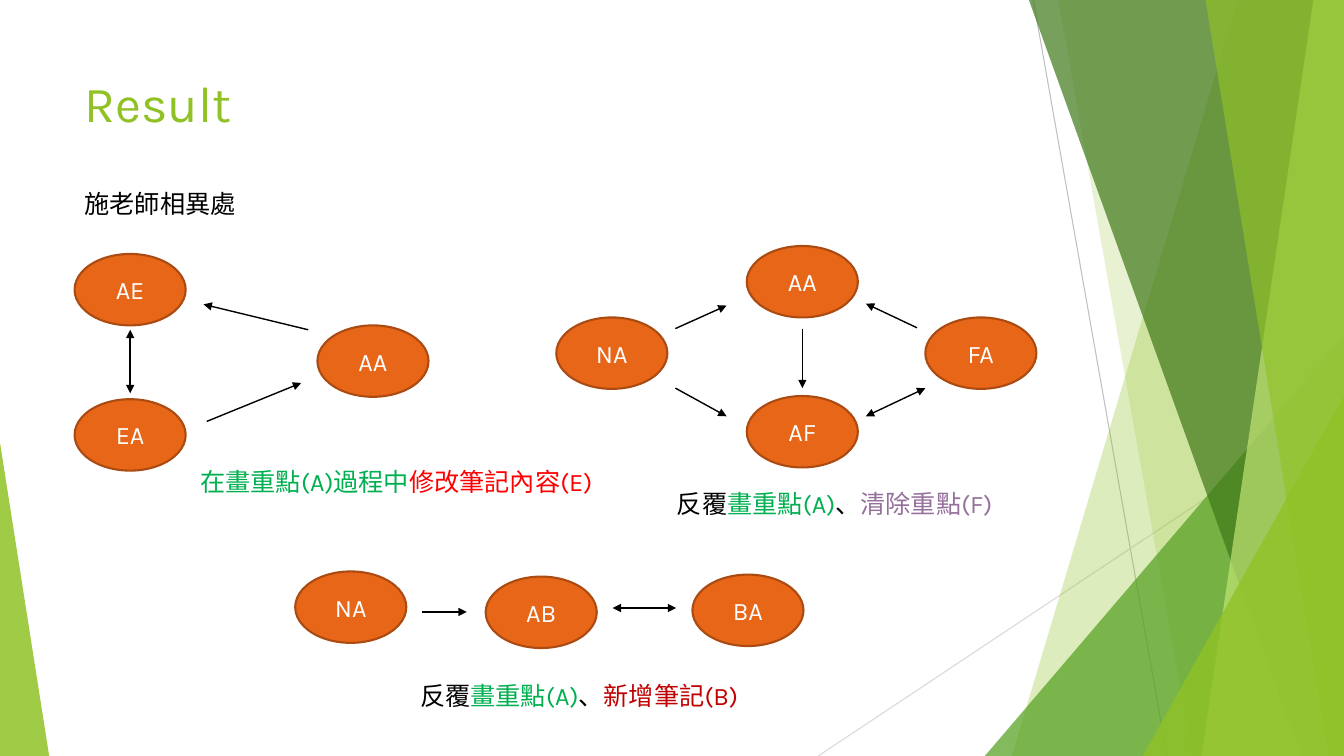
from lxml import etree
from pptx import Presentation
from pptx import util as u
from pptx.dml.color import RGBColor
from pptx.enum import shapes, text
from pptx.oxml.ns import qn

WIDTH, HEIGHT = 33.87, 19.05
COLORS = {
    "lime": "90C226", "grass": "54A021", "forest": "3F7819", "pale": "C0E474",
    "orange": "E76618", "rust": "AB4B12", "white": "FFFFFF", "black": "000000",
    "green": "00B050", "red": "FF0000", "purple": "966F9D", "crimson": "C00000",
    "gray": "BFBFBF", "silver": "D9D9D9",
}
FACETS = [
    ("quad", (31.19, 25.5), "lime", 30),
    ("quad", (26.67, 30.05), "lime", 20),
    ("triangle", (24.82, 8.46, 9.05, 10.59, 1), "grass", 72),
    ("quad", (25.93, 32.79), "forest", 70),
    ("quad", (33.1, 30.28), "pale", 70),
    ("quad", (30.38, 33.48), "lime", 65),
    ("triangle", (28.8, 9.98, 5.07, 9.07, 1), "lime", 80),
    ("triangle", (0, 11.15, 1.24, 7.9, 0), "lime", 85),
]
DIAGRAMS = [
    {
        "states": [("AE", 1.88, 6.4), ("EA", 1.88, 10.06), ("AA", 8, 8.2)],
        "arrows": [(3.28, 8.31, 3.28, 9.91, True), (7.77, 8.31, 5.13, 7.67, False),
                   (5.21, 10.62, 7.59, 9.65, False)],
        "caption": (4.8, 11.63, 10.77, [("在畫重點(A)過程中", "green"), ("修改筆記內容(E)", "red")]),
    },
    {
        "states": [("NA", 14.02, 8), ("AA", 18.82, 6.2), ("AF", 18.82, 9.98), ("FA", 23.32, 8)],
        "arrows": [(17.02, 8.28, 18.31, 7.7, False), (17.02, 9.78, 18.31, 10.49, False),
                   (20.22, 8.28, 20.22, 9.78, False), (23.11, 8.26, 21.82, 7.65, False),
                   (21.82, 10.49, 23.32, 9.78, True)],
        "caption": (16.81, 12.19, 8.61, [("反覆", "black"), ("畫重點(A)", "green"),
                                         ("、", "black"), ("清除重點(F)", "purple")]),
    },
    {
        "states": [("NA", 7.44, 14.4), ("AB", 12.24, 14.53), ("BA", 17.45, 14.48)],
        "arrows": [(10.64, 15.42, 11.76, 15.42, False), (15.44, 15.32, 17.04, 15.32, True)],
        "caption": (10.34, 17.02, 8.64, [("反覆", "black"), ("畫重點(A)", "green"),
                                         ("、", "black"), ("新增筆記(B)", "crimson")]),
    },
]


class SlideBuilder:
    """Draws styled elements on the current slide."""

    font = "Karla"
    body_size = 18
    state_size = (2.8, 1.8)

    def __init__(self, slide):
        self.slide = slide

    def color(self, name):
        return RGBColor.from_string(COLORS[name])

    def style_run(self, run, color, size=body_size):
        run.font.name = self.font
        run.font.size = u.Pt(size)
        run.font.color.rgb = self.color(color)

    def title(self, wording):
        shape = self.slide.shapes.title
        shape.left, shape.top, shape.width, shape.height = map(u.Cm, (1.88, 1.7, 23.88, 3.66))
        frame = shape.text_frame
        frame.text = wording
        frame.vertical_anchor = text.MSO_ANCHOR.TOP
        frame.paragraphs[0].alignment = text.PP_ALIGN.LEFT
        self.style_run(frame.paragraphs[0].runs[0], "lime", 36)

    def line(self, x1, y1, x2, y2, color="black", width=1.0, ends=()):
        connector = self.slide.shapes.add_connector(
            shapes.MSO_CONNECTOR.STRAIGHT, *map(u.Cm, (x1, y1, x2, y2)))
        connector.line.color.rgb = self.color(color)
        connector.line.width = u.Pt(width)
        outline = connector.line._get_or_add_ln()
        for end in ends:
            etree.SubElement(outline, qn(end), type="triangle")
        etree.SubElement(connector._element.spPr, qn("a:effectLst"))

    def arrow(self, x1, y1, x2, y2, both_ways):
        ends = ("a:headEnd", "a:tailEnd") if both_ways else ("a:tailEnd",)
        self.line(x1, y1, x2, y2, ends=ends)

    def quad(self, top_x, bottom_x):
        points = [(WIDTH, 0), (WIDTH, HEIGHT), (bottom_x, HEIGHT)]
        builder = self.slide.shapes.build_freeform(u.Cm(top_x), u.Cm(0))
        builder.add_line_segments([(u.Cm(x), u.Cm(y)) for x, y in points], close=True)
        return builder.convert_to_shape()

    def triangle(self, left, top, width, height, apex):
        shape = self.slide.shapes.add_shape(
            shapes.MSO_SHAPE.ISOSCELES_TRIANGLE, *map(u.Cm, (left, top, width, height)))
        shape.adjustments[0] = apex
        return shape

    def facet(self, kind, geometry, color, opacity):
        shape = self.quad(*geometry) if kind == "quad" else self.triangle(*geometry)
        shape.shadow.inherit = False
        shape.line.fill.background()
        shape.fill.solid()
        shape.fill.fore_color.rgb = self.color(color)
        swatch = shape._element.spPr.find(qn("a:solidFill"))[0]
        etree.SubElement(swatch, qn("a:alpha"), val=str(opacity * 1000))

    def state(self, label, left, top):
        shape = self.slide.shapes.add_shape(
            shapes.MSO_SHAPE.OVAL, *map(u.Cm, (left, top, *self.state_size)))
        shape.shadow.inherit = False
        shape.fill.solid()
        shape.fill.fore_color.rgb = self.color("orange")
        shape.line.color.rgb = self.color("rust")
        shape.line.width = u.Pt(1.5)
        frame = shape.text_frame
        frame.text = label
        frame.vertical_anchor = text.MSO_ANCHOR.MIDDLE
        frame.paragraphs[0].alignment = text.PP_ALIGN.CENTER
        self.style_run(frame.paragraphs[0].runs[0], "white")

    def caption(self, left, top, width, parts):
        frame = self.slide.shapes.add_textbox(*map(u.Cm, (left, top, width, 1.02))).text_frame
        frame.word_wrap = True
        for wording, color in parts:
            run = frame.paragraphs[0].add_run()
            run.text = wording
            self.style_run(run, color)


def main():
    presentation = Presentation()
    presentation.slide_width, presentation.slide_height = u.Cm(WIDTH), u.Cm(HEIGHT)
    builder = SlideBuilder(presentation.slides.add_slide(presentation.slide_layouts[5]))
    builder.line(26.04, 0, 29.41, HEIGHT, "gray", 0.75)
    builder.line(WIDTH, 10.24, 20.62, HEIGHT, "silver", 0.75)
    for facet in FACETS:
        builder.facet(*facet)
    builder.title("Result")
    builder.caption(1.88, 4.62, 4.4, [("施老師相異處", "black")])
    for diagram in DIAGRAMS:
        for state in diagram["states"]:
            builder.state(*state)
        for arrow in diagram["arrows"]:
            builder.arrow(*arrow)
        builder.caption(*diagram["caption"])
    presentation.save("out.pptx")


if __name__ == "__main__":
    main()
